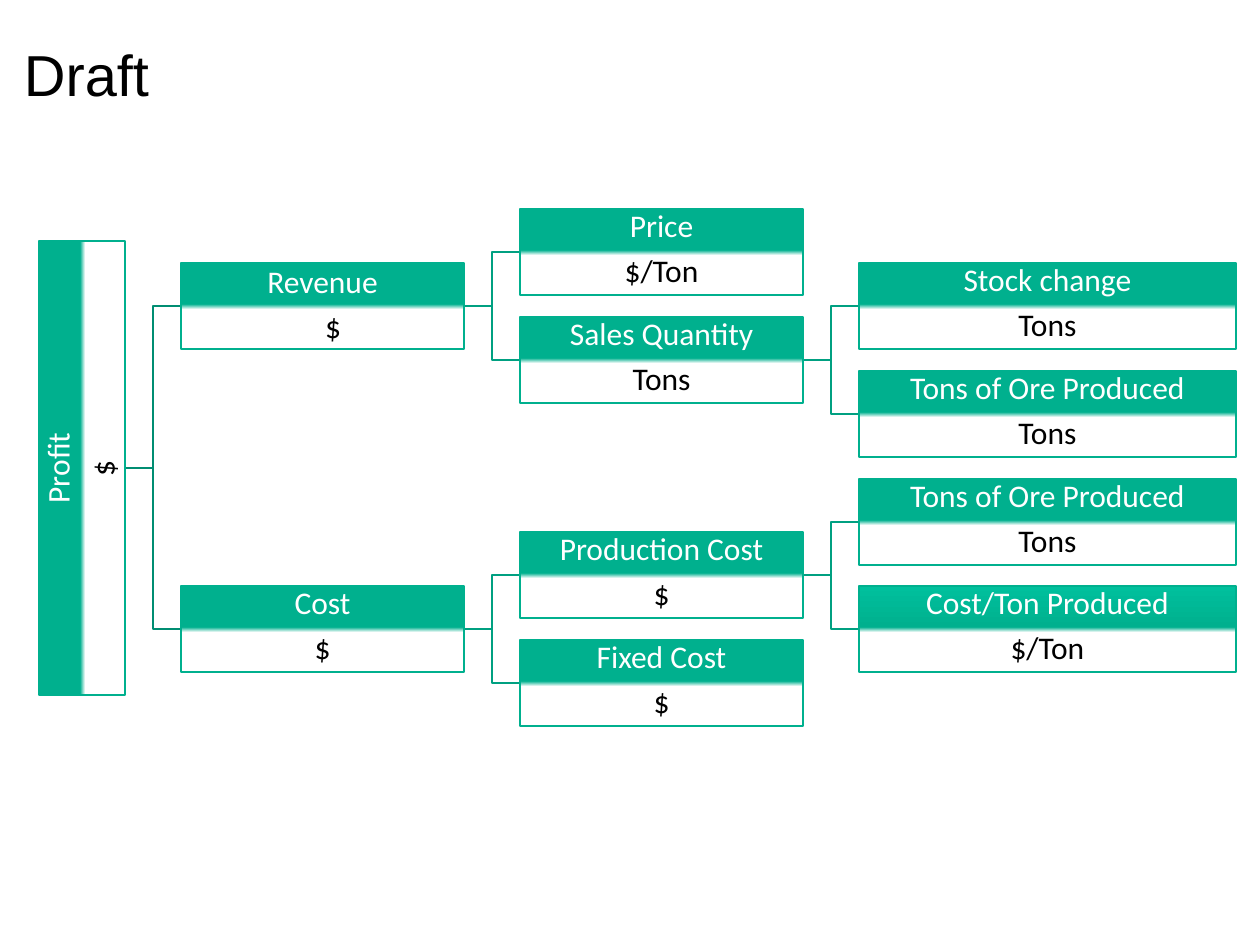
from copy import deepcopy
from dataclasses import dataclass
from typing import Optional

from pptx import Presentation, util as u
from pptx.dml.color import RGBColor
from pptx.enum import shapes, text
from pptx.oxml.ns import qn

SCALE = 914400 / 126
COLORS = {
    "header": "00B08E",
    "header_light": "00C09D",
    "body": "FFFFFF",
    "ink": "000000",
    "trunk": "008D72",
    "branch": "00A081",
}
COLUMN_LEFT = [39, 181, 520, 859]
COLUMN_WIDTH = [86, 283, 283, 377]
BOX_HEIGHT = 86
PROFIT_LENGTH = 454
FIRST_ROW, ROW_STEP = 252, 53.9


def px(length):
    return u.Emu(round(length * SCALE))


def rgb(name):
    return RGBColor.from_string(COLORS[name])


@dataclass
class Node:
    label: str
    unit: str
    column: int
    row: int
    parent: Optional["Node"] = None
    top_color: str = "header"
    middle: bool = False
    unit_indent: int = 0

    @property
    def left(self):
        return COLUMN_LEFT[self.column]

    @property
    def right(self):
        return self.left + COLUMN_WIDTH[self.column]

    @property
    def center(self):
        return round(FIRST_ROW + self.row * ROW_STEP)


class TreeSlide:
    def __init__(self, slide):
        self.slide = slide
        self.body_font, self.body_size = "Calibri", 18

    def style_run(self, paragraph, font_name, size, color):
        font = paragraph.runs[0].font
        font.name, font.size = font_name, u.Pt(size)
        font.color.rgb = rgb(color)

    def title(self, wording):
        shape = self.slide.shapes.add_textbox(px(24), px(33), px(1212), px(42))
        frame = shape.text_frame
        frame.word_wrap = True
        frame.margin_left = frame.margin_right = frame.margin_bottom = 0
        frame.margin_top = px(6)
        frame.text = wording
        self.style_run(frame.paragraphs[0], "Arial", 33, "ink")

    def link(self, node):
        """Draw the elbow line from a node's parent to the node."""
        parent = node.parent
        middle = (parent.right + node.left) / 2
        builder = self.slide.shapes.build_freeform(parent.right, parent.center, SCALE)
        builder.add_line_segments(
            [(middle, parent.center), (middle, node.center), (node.left, node.center)],
            close=False,
        )
        shape = builder.convert_to_shape()
        shape.shadow.inherit = False
        shape.fill.background()
        shape.line.color.rgb = rgb("branch" if parent.parent else "trunk")
        shape.line.width = u.Pt(1)

    def split_fill(self, shape, top_color):
        """Fill with a header colour above and white below."""
        fill = shape.fill
        fill.gradient()
        fill.gradient_angle = 270
        stop_list = shape._element.spPr.find(".//" + qn("a:gsLst"))
        for stop in list(stop_list):
            stop_list.append(deepcopy(stop))
        stops = [(0, top_color), (0.48, "header"), (0.54, "body"), (1, "body")]
        for stop, (position, color) in zip(fill.gradient_stops, stops):
            stop.position = position
            stop.color.rgb = rgb(color)

    def box(self, node):
        upright = node.parent is None
        width = PROFIT_LENGTH if upright else COLUMN_WIDTH[node.column]
        left = (node.left + node.right - width) / 2
        shape = self.slide.shapes.add_shape(
            shapes.MSO_SHAPE.RECTANGLE,
            px(left), px(node.center - BOX_HEIGHT / 2), px(width), px(BOX_HEIGHT),
        )
        shape.rotation = 270 if upright else 0
        shape.shadow.inherit = False
        self.split_fill(shape, node.top_color)
        shape.line.color.rgb = rgb("header")
        shape.line.width = u.Pt(1)

        frame = shape.text_frame
        frame.word_wrap = True
        frame.margin_left = frame.margin_right = px(1)
        frame.margin_top = frame.margin_bottom = px(1)
        frame.vertical_anchor = (
            text.MSO_ANCHOR.MIDDLE if node.middle else text.MSO_ANCHOR.TOP
        )
        frame.text = f"{node.label}\n{node.unit}"
        for paragraph, color in zip(frame.paragraphs, ("body", "ink")):
            paragraph.alignment = text.PP_ALIGN.CENTER
            paragraph.line_spacing = 0.9
            paragraph.space_after = u.Pt(6.3)
            self.style_run(paragraph, self.body_font, self.body_size, color)
        if node.unit_indent:
            properties = frame.paragraphs[1]._p.get_or_add_pPr()
            properties.set("marL", str(px(node.unit_indent)))


def profit_tree():
    profit = Node("Profit", "$", 0, 4, middle=True)
    revenue = Node("Revenue", "$", 1, 1, profit, middle=True, unit_indent=21)
    cost = Node("Cost", "$", 1, 7, profit)
    sales = Node("Sales Quantity", "Tons", 2, 2, revenue)
    production = Node("Production Cost", "$", 2, 6, cost)
    return [
        profit,
        revenue,
        Node("Price", "$/Ton", 2, 0, revenue),
        sales,
        Node("Stock change", "Tons", 3, 1, sales),
        Node("Tons of Ore Produced", "Tons", 3, 3, sales),
        cost,
        production,
        Node("Tons of Ore Produced", "Tons", 3, 5, production),
        Node("Cost/Ton Produced", "$/Ton", 3, 7, production, "header_light"),
        Node("Fixed Cost", "$", 2, 8, cost),
    ]


def main():
    presentation = Presentation()
    presentation.slide_width, presentation.slide_height = u.Inches(10), u.Inches(7.5)
    slide = presentation.slides.add_slide(presentation.slide_layouts[6])
    tree_slide = TreeSlide(slide)
    tree_slide.title("Draft")
    nodes = profit_tree()
    for node in reversed(nodes):
        if node.parent:
            tree_slide.link(node)
    for node in nodes:
        tree_slide.box(node)
    presentation.save("out.pptx")


if __name__ == "__main__":
    main()
